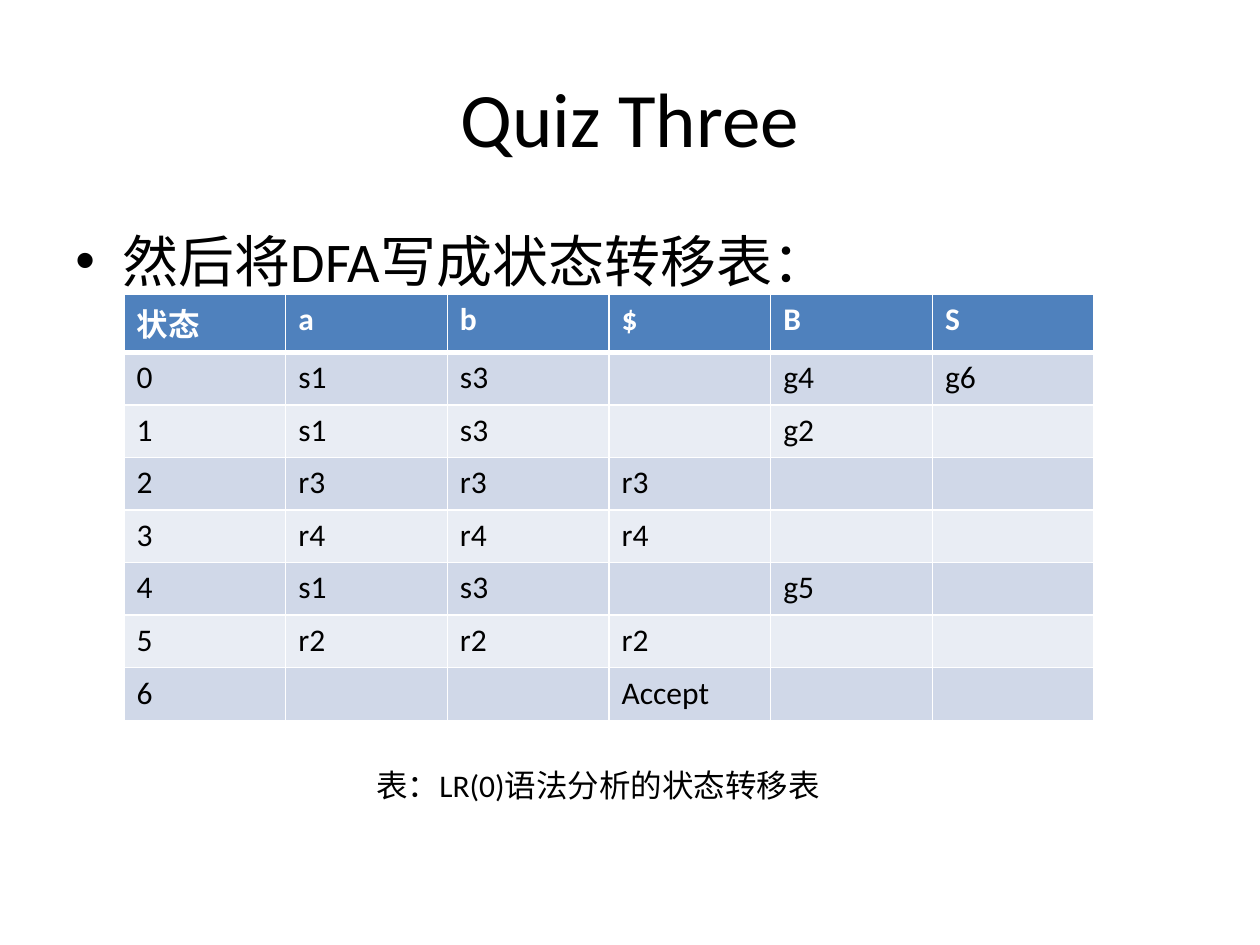
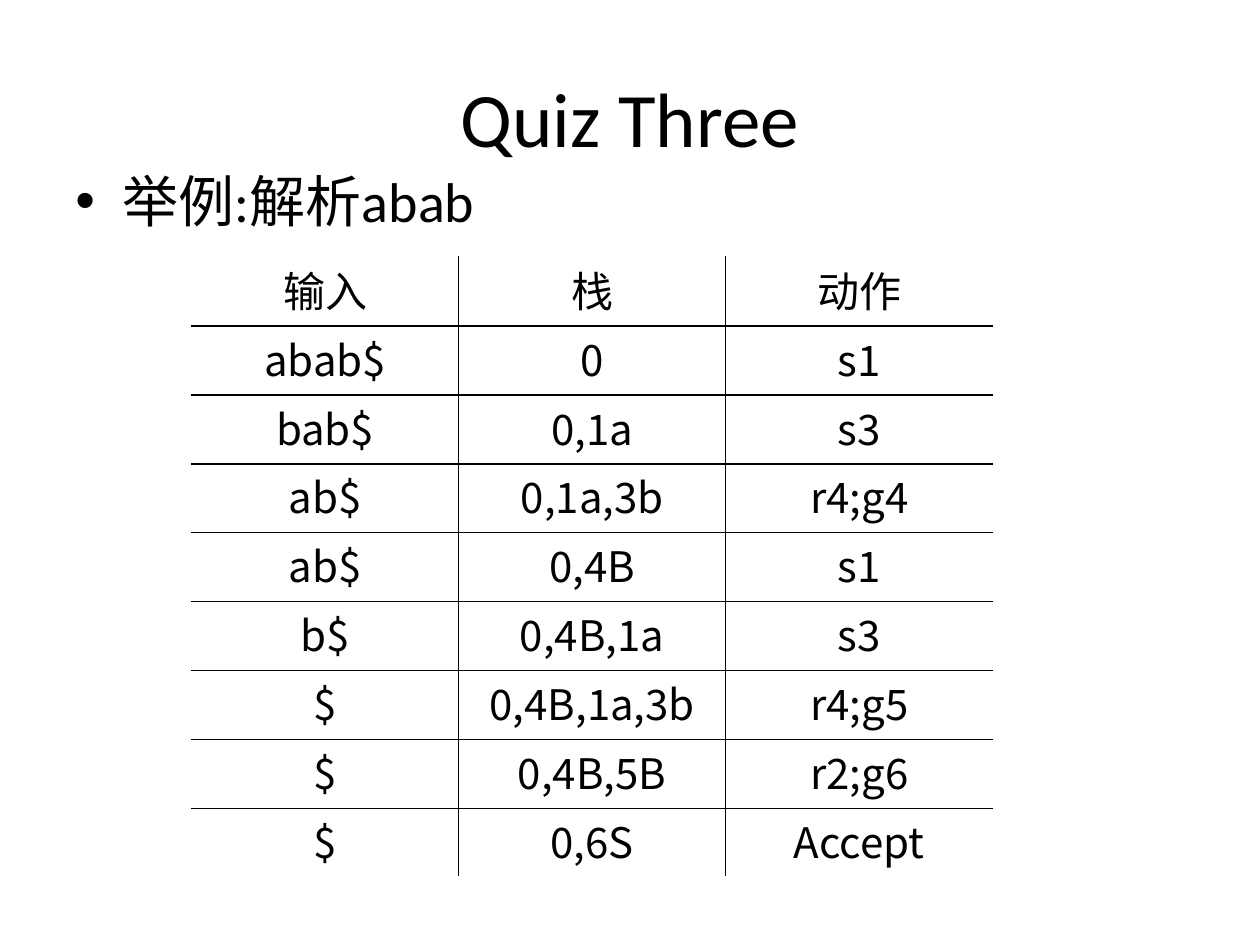
"""Builds two quiz slides: an LR(0) transition table and a sample parse."""
from lxml.etree import SubElement
from pptx import Presentation
from pptx.dml.color import RGBColor
from pptx.enum.text import MSO_ANCHOR, MSO_AUTO_SIZE, PP_ALIGN
from pptx.oxml.ns import qn
from pptx.util import Pt

TITLE = "Quiz Three"
POINTS = ["然后将DFA写成状态转移表：", "举例:解析abab"]
CAPTION = "表：LR(0)语法分析的状态转移表"
STATES = [
    ("状态", "a", "b", "$", "B", "S"),
    ("0", "s1", "s3", "", "g4", "g6"),
    ("1", "s1", "s3", "", "g2", ""),
    ("2", "r3", "r3", "r3", "", ""),
    ("3", "r4", "r4", "r4", "", ""),
    ("4", "s1", "s3", "", "g5", ""),
    ("5", "r2", "r2", "r2", "", ""),
    ("6", "", "", "Accept", "", ""),
]
STEPS = [
    ("输入", "栈", "动作"),
    ("abab$", "0", "s1"),
    ("bab$", "0,1a", "s3"),
    ("ab$", "0,1a,3b", "r4;g4"),
    ("ab$", "0,4B", "s1"),
    ("b$", "0,4B,1a", "s3"),
    ("$", "0,4B,1a,3b", "r4;g5"),
    ("$", "0,4B,5B", "r2;g6"),
    ("$", "0,6S", "Accept"),
]
COLORS = {"ink": "000000", "paper": "FFFFFF", "head": "4F81BD",
          "dark": "D0D8E8", "light": "E9EDF4"}
LEFT, WIDTH = 36, 648
INSETS = {"margin_left": Pt(0.72), "margin_right": Pt(0.72),
          "margin_top": Pt(0.72), "margin_bottom": Pt(3.6),
          "vertical_anchor": MSO_ANCHOR.MIDDLE}


def color(name):
    return RGBColor.from_string(COLORS[name])


def apply(item, values):
    for key, value in values.items():
        setattr(item, key, value)


def write(frame, text, size, font="Calibri", ink="ink", bold=False, align=PP_ALIGN.LEFT):
    para = frame.paragraphs[0]
    para.alignment = align
    if text:
        run = para.add_run()
        run.text = text
        apply(run.font, {"size": Pt(size), "name": font, "bold": bold})
        run.font.color.rgb = color(ink)
    else:
        para.font.size = Pt(size)
    return para


def add_text(slide, box, text, size, anchor=MSO_ANCHOR.TOP, **style):
    frame = slide.shapes.add_textbox(*map(Pt, box)).text_frame
    apply(frame, {"word_wrap": True, "auto_size": MSO_AUTO_SIZE.NONE,
                  "vertical_anchor": anchor})
    return write(frame, text, size, **style)


def add_page(deck, point, top):
    slide = deck.slides.add_slide(deck.slide_layouts[6])
    add_text(slide, (LEFT, 21.6, WIDTH, 90), TITLE, 44,
             anchor=MSO_ANCHOR.MIDDLE, align=PP_ALIGN.CENTER)
    para = add_text(slide, (LEFT, top, WIDTH, 356.4), point, 32)
    para.space_before = Pt(6.4)
    props = para._p.get_or_add_pPr()
    props.set("marL", str(Pt(27)))
    props.set("indent", str(-Pt(27)))
    SubElement(props, qn("a:buFont"), typeface="Arial")
    SubElement(props, qn("a:buChar"), char="•")
    return slide


def add_edges(cell, edges):
    props = cell._tc.get_or_add_tcPr()
    for side in "LRTB":
        if side in edges:
            name, width = edges[side]
            line = SubElement(props, qn("a:ln" + side), w=str(Pt(width)))
            fill = SubElement(line, qn("a:solidFill"))
            SubElement(fill, qn("a:srgbClr"), val=COLORS[name])


def add_grid(slide, rows, left, top, wide, high, dress):
    count, span = len(rows), len(rows[0])
    table = slide.shapes.add_table(count, span, Pt(left), Pt(top),
                                   Pt(wide * span), Pt(high * count)).table
    apply(table, {"first_row": False, "horz_banding": False})
    for col in table.columns:
        col.width = Pt(wide)
    for r, row in enumerate(rows):
        table.rows[r].height = Pt(high)
        for c, text in enumerate(row):
            dress(table.cell(r, c), text, r, c)


def dress_state(cell, text, r, c):
    edges = dict.fromkeys("LRTB", ("paper", 1))
    if r < 2:
        edges["T" if r else "B"] = ("paper", 3)
    add_edges(cell, edges)
    cell.fill.solid()
    cell.fill.fore_color.rgb = color(("light", "dark")[r % 2] if r else "head")
    write(cell.text_frame, text, 18, ink="ink" if r else "paper", bold=r == 0)


def dress_step(cell, text, r, c):
    inner = {"L": c > 0, "R": c < len(STEPS[0]) - 1,
             "T": r > 0, "B": r < len(STEPS) - 1}
    add_edges(cell, {side: ("ink", 1) for side, shown in inner.items() if shown})
    cell.fill.background()
    apply(cell, INSETS)
    write(cell.text_frame, text, 24, font="Noto Sans CJK SC" if r else "Arial",
          align=PP_ALIGN.CENTER)


deck = Presentation()
apply(deck, {"slide_width": Pt(720), "slide_height": Pt(540)})

page = add_page(deck, POINTS[0], 126)
add_grid(page, STATES, 70.9, 168, 92.4, 30.06, dress_state)
add_text(page, (208, 434, 303, 29), CAPTION, 18)

page = add_page(deck, POINTS[1], 91.4)
add_grid(page, STEPS, 109.5, 146.9, 152.6, 39.4, dress_step)

deck.save("out.pptx")
